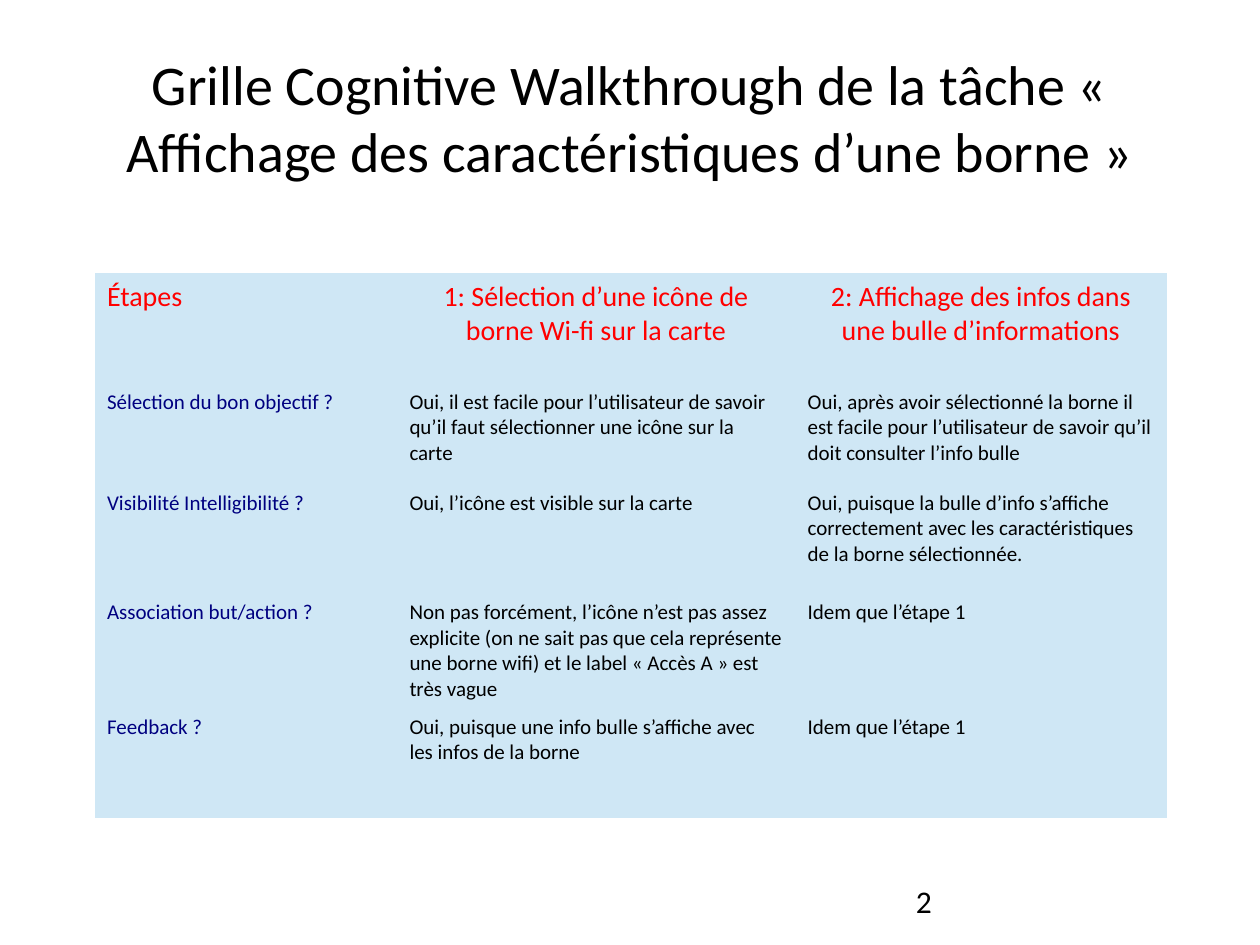
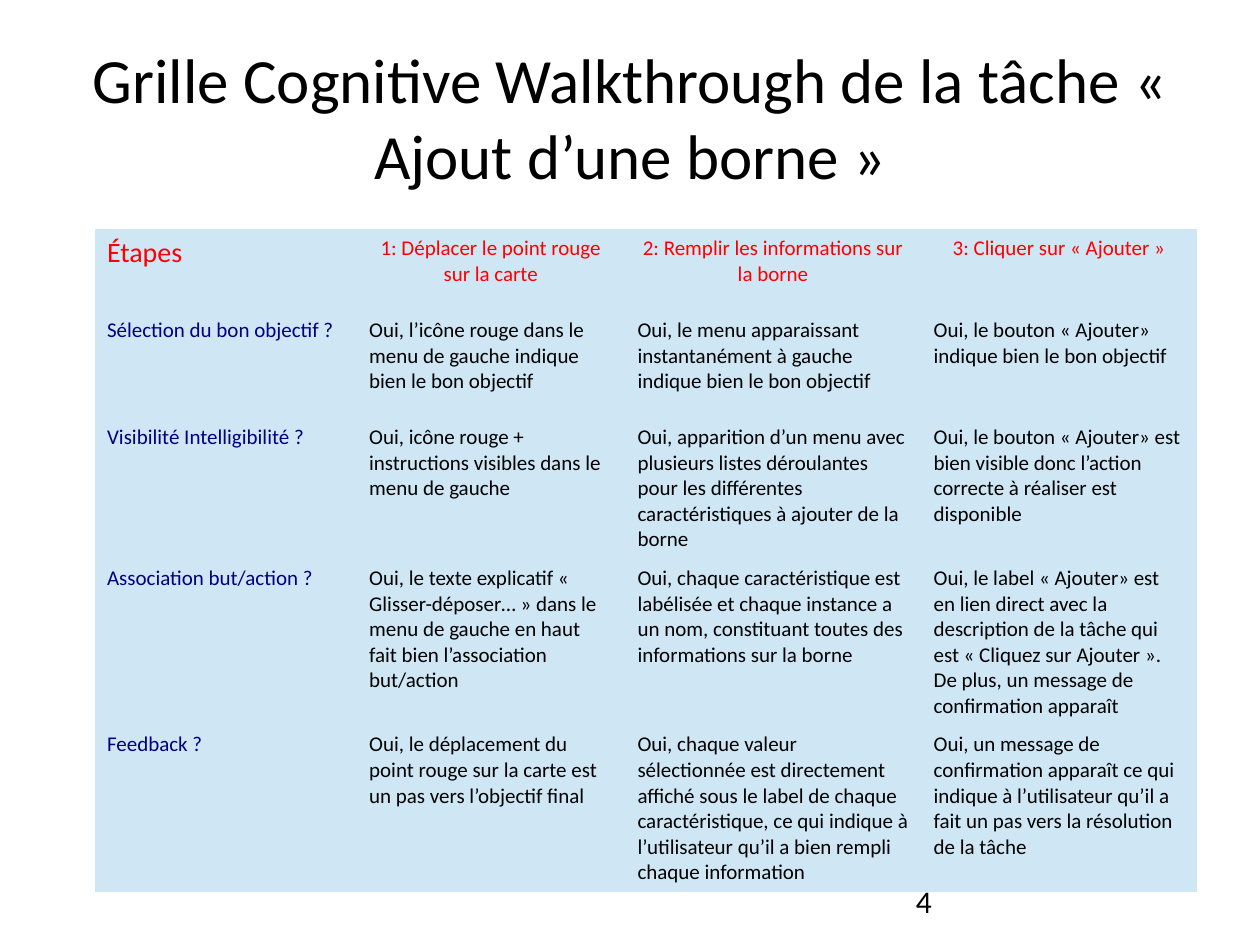
"""Builds the two cognitive walkthrough grids of a Wi-Fi hotspot map."""

from dataclasses import dataclass

from pptx import Presentation as new_presentation
from pptx.dml.color import RGBColor
from pptx.enum.text import MSO_ANCHOR as Anchor, MSO_AUTO_SIZE as AutoSize, PP_ALIGN as Align
from pptx.oxml.ns import qn
from pptx.presentation import Presentation
from pptx.slide import Slide
from pptx.table import _Cell as Cell
from pptx.text.text import TextFrame
from pptx.util import Inches, Length, Pt

SLIDE_WIDTH = Inches(10)
SLIDE_HEIGHT = Inches(7.5)
TITLE_ONLY_LAYOUT = 5
PLAIN_TABLE_STYLE = "{2D5ABB26-0587-4C30-8999-92F81FD0307C}"


@dataclass(frozen=True)
class Theme:
    font: str = "Calibri"
    text: str = "000000"
    heading: str = "FF0000"
    question: str = "000080"
    cell_fill: str = "CFE7F5"
    background: str = "FFFFFF"
    number_size: int = 18
    corner_size: int = 16
    body_size: int = 12


@dataclass(frozen=True)
class Box:
    left: float
    top: float
    width: float
    height: float

    def lengths(self) -> tuple[Length, Length, Length, Length]:
        return across(self.left), down(self.top), across(self.width), down(self.height)


@dataclass(frozen=True)
class Walkthrough:
    title: str
    title_size: int
    number: int
    top: float
    column_widths: tuple[float, ...]
    row_heights: tuple[float, ...]
    step_size: int
    steps: tuple[str, ...]
    answers: tuple[tuple[str, ...], ...]


THEME = Theme()
TITLE_BOX = Box(5, 4, 90, 16.67)
NUMBER_BOX = Box(71.7, 92.67, 23.3, 5.33)
TABLE_LEFT = 7.5
CORNER = "Étapes"
QUESTIONS = (
    "Sélection du bon objectif ?",
    "Visibilité Intelligibilité ?",
    "Association but/action ?",
    "Feedback ?",
)
WALKTHROUGHS = (
    Walkthrough(
        title="Grille Cognitive Walkthrough de la tâche « Affichage des caractéristiques d’une borne »",
        title_size=32,
        number=2,
        top=28.93,
        column_widths=(24, 31.6, 29.5),
        row_heights=(11.6, 10.67, 11.6, 12.13, 11.6),
        step_size=16,
        steps=(
            "1: Sélection d’une icône de borne Wi-fi sur la carte",
            "2: Affichage des infos dans une bulle d’informations",
        ),
        answers=(
            (
                "Oui, il est facile pour l’utilisateur de savoir qu’il faut sélectionner une icône sur la carte",
                "Oui, après avoir sélectionné la borne il est facile pour l’utilisateur de savoir "
                "qu’il doit consulter l’info bulle",
            ),
            (
                "Oui, l’icône est visible sur la carte",
                "Oui, puisque la bulle d’info s’affiche correctement avec les caractéristiques "
                "de la borne sélectionnée.",
            ),
            (
                "Non pas forcément, l’icône n’est pas assez explicite (on ne sait pas que cela "
                "représente une borne wifi) et le label « Accès A » est très vague",
                "Idem que l’étape 1",
            ),
            (
                "Oui, puisque une info bulle s’affiche avec les infos de la borne",
                "Idem que l’étape 1",
            ),
        ),
    ),
    Walkthrough(
        title="Grille Cognitive Walkthrough de la tâche « Ajout d’une borne »",
        title_size=36,
        number=4,
        top=24.27,
        column_widths=(20.8, 21.3, 23.5, 21.9),
        row_heights=(8.67, 11.33, 14.93, 17.6, 17.6),
        step_size=12,
        steps=(
            "1: Déplacer le point rouge sur la carte",
            "2: Remplir les informations sur la borne",
            "3: Cliquer sur « Ajouter »",
        ),
        answers=(
            (
                "Oui, l’icône rouge dans le menu de gauche indique bien le bon objectif",
                "Oui, le menu apparaissant instantanément à gauche indique bien le bon objectif",
                "Oui, le bouton « Ajouter» indique bien le bon objectif",
            ),
            (
                "Oui, icône rouge + instructions visibles dans le menu de gauche",
                "Oui, apparition d’un menu avec plusieurs listes déroulantes pour les différentes "
                "caractéristiques à ajouter de la borne",
                "Oui, le bouton « Ajouter» est bien visible donc l’action correcte à réaliser est disponible",
            ),
            (
                "Oui, le texte explicatif « Glisser-déposer… » dans le menu de gauche en haut "
                "fait bien l’association but/action",
                "Oui, chaque caractéristique est labélisée et chaque instance a un nom, "
                "constituant toutes des informations sur la borne",
                "Oui, le label « Ajouter» est en lien direct avec la description de la tâche qui est "
                "« Cliquez sur Ajouter ». De plus, un message de confirmation apparaît",
            ),
            (
                "Oui, le déplacement du point rouge sur la carte est un pas vers l’objectif final",
                "Oui, chaque valeur sélectionnée est directement affiché sous le label de chaque "
                "caractéristique, ce qui indique à l’utilisateur qu’il a bien rempli chaque information",
                "Oui, un message de confirmation apparaît ce qui indique à l’utilisateur "
                "qu’il a fait un pas vers la résolution de la tâche",
            ),
        ),
    ),
)


def across(percent: float) -> Length:
    return Length(round(SLIDE_WIDTH * percent / 100))


def down(percent: float) -> Length:
    return Length(round(SLIDE_HEIGHT * percent / 100))


def write(frame: TextFrame, text: str, size: int, color: str, align: Align = Align.LEFT) -> None:
    frame.text = text
    frame.word_wrap = True
    for paragraph in frame.paragraphs:
        paragraph.alignment = align
        for run in paragraph.runs:
            run.font.name = THEME.font
            run.font.size = Pt(size)
            run.font.color.rgb = RGBColor.from_string(color)


def add_title(slide: Slide, walkthrough: Walkthrough) -> None:
    title = slide.shapes.title
    title.left, title.top, title.width, title.height = TITLE_BOX.lengths()
    frame = title.text_frame
    write(frame, walkthrough.title, walkthrough.title_size, THEME.text, Align.CENTER)
    frame.auto_size = AutoSize.NONE
    frame.vertical_anchor = Anchor.MIDDLE


def add_number(slide: Slide, number: int) -> None:
    box = slide.shapes.add_textbox(*NUMBER_BOX.lengths())
    write(box.text_frame, str(number), THEME.number_size, THEME.text)


def fill_cell(cell: Cell, text: str, row: int, column: int, step_size: int) -> None:
    cell.fill.solid()
    cell.fill.fore_color.rgb = RGBColor.from_string(THEME.cell_fill)
    if row == 0 and column == 0:
        write(cell.text_frame, text, THEME.corner_size, THEME.heading)
    elif row == 0:
        write(cell.text_frame, text, step_size, THEME.heading, Align.CENTER)
    else:
        color = THEME.question if column == 0 else THEME.text
        write(cell.text_frame, text, THEME.body_size, color)


def add_grid(slide: Slide, walkthrough: Walkthrough) -> None:
    widths, heights = walkthrough.column_widths, walkthrough.row_heights
    box = Box(TABLE_LEFT, walkthrough.top, sum(widths), sum(heights))
    table = slide.shapes.add_table(len(heights), len(widths), *box.lengths()).table
    table.first_row = table.horz_banding = False
    table._tbl.tblPr.find(qn("a:tableStyleId")).text = PLAIN_TABLE_STYLE
    for column, width in zip(table.columns, widths):
        column.width = across(width)
    for row, height in zip(table.rows, heights):
        row.height = down(height)
    lines = [(CORNER, *walkthrough.steps)]
    lines += [(question, *answers) for question, answers in zip(QUESTIONS, walkthrough.answers)]
    for row_index, line in enumerate(lines):
        for column_index, text in enumerate(line):
            cell = table.cell(row_index, column_index)
            fill_cell(cell, text, row_index, column_index, walkthrough.step_size)


def add_walkthrough(presentation: Presentation, walkthrough: Walkthrough) -> None:
    slide = presentation.slides.add_slide(presentation.slide_layouts[TITLE_ONLY_LAYOUT])
    slide.background.fill.solid()
    slide.background.fill.fore_color.rgb = RGBColor.from_string(THEME.background)
    add_title(slide, walkthrough)
    add_number(slide, walkthrough.number)
    add_grid(slide, walkthrough)


def main() -> None:
    presentation = new_presentation()
    presentation.slide_width = SLIDE_WIDTH
    presentation.slide_height = SLIDE_HEIGHT
    for walkthrough in WALKTHROUGHS:
        add_walkthrough(presentation, walkthrough)
    presentation.save("out.pptx")


if __name__ == "__main__":
    main()
